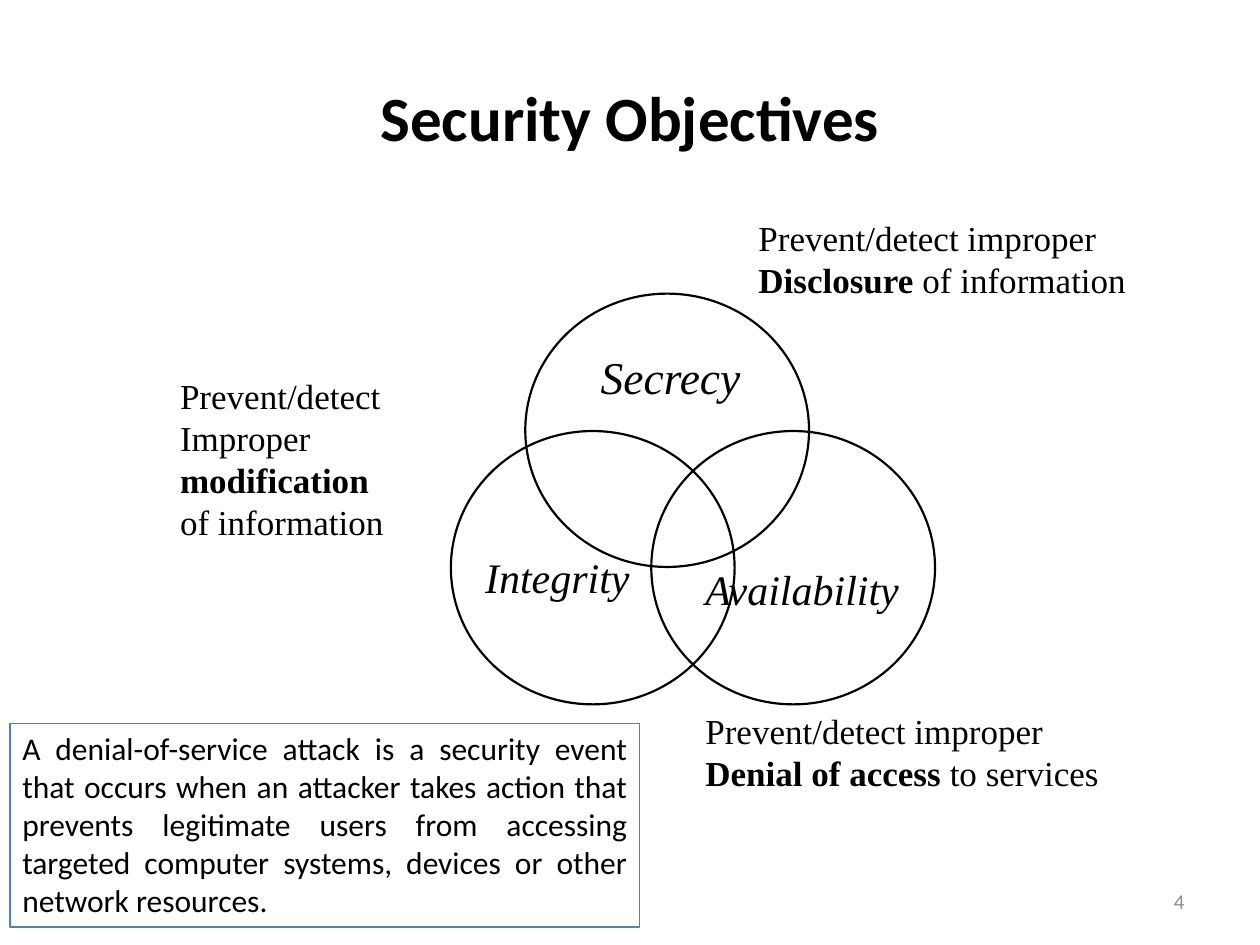
from dataclasses import dataclass

from pptx import Presentation
from pptx.dml.color import RGBColor
from pptx.enum import shapes, text
from pptx.util import Cm, Pt

COLOURS = {"ink": "000000", "border": "4F81BD", "muted": "8C8C8C"}
SERIF = "Times New Roman"
CIRCLE_WIDTH, CIRCLE_HEIGHT = 5.72, 5.51


@dataclass
class Area:
    left: float
    top: float
    width: float
    height: float

    def lengths(self) -> list:
        return [Cm(value) for value in (self.left, self.top, self.width, self.height)]


@dataclass
class Objective:
    name: str
    size: int
    circle: tuple
    name_area: Area
    goal_area: Area
    goal: list


OBJECTIVES = [
    Objective("Secrecy", 26, (10.59, 5.92),
              Area(11.86, 6.91, 3.35, 1.35), Area(15.04, 4.24, 8.26, 1.96),
              [[("Prevent/detect improper", False)],
               [("Disclosure", True), (" of information", False)]]),
    Objective("Availability", 24, (13.13, 8.69),
              Area(13.97, 11.23, 4.45, 1.27), Area(13.97, 14.17, 8.48, 1.96),
              [[("Prevent/detect improper", False)],
               [("Denial of access", True), (" to services", False)]]),
    Objective("Integrity", 24, (9.09, 8.69),
              Area(9.53, 11, 3.43, 1.27), Area(3.38, 7.42, 7.11, 3.63),
              [[("Prevent/detect", False)], [("Improper", False)],
               [("modification", True)], [("of information", False)]]),
]


def colour(name: str) -> RGBColor:
    return RGBColor.from_string(COLOURS[name])


def write(box, lines: list, *, size: int, font: str = "Calibri", ink: str = "ink",
          italic: bool = False, align=text.PP_ALIGN.LEFT,
          anchor=text.MSO_ANCHOR.TOP, wrap: bool = True) -> None:
    frame = box.text_frame
    frame.word_wrap = wrap
    frame.vertical_anchor = anchor
    for index, spans in enumerate(lines):
        para = frame.add_paragraph() if index else frame.paragraphs[0]
        para.alignment = align
        for words, bold in spans:
            span = para.add_run()
            span.text = words
            span.font.name = font
            span.font.size = Pt(size)
            span.font.bold = bold
            span.font.italic = italic
            span.font.color.rgb = colour(ink)


def add_text(page, area: Area, lines: list, **style) -> None:
    write(page.shapes.add_textbox(*area.lengths()), lines, **style)


def add_outline(page, kind, area: Area, line: str, weight: float):
    shape = page.shapes.add_shape(kind, *area.lengths())
    shape.shadow.inherit = False
    shape.fill.background()
    shape.line.color.rgb = colour(line)
    shape.line.width = Pt(weight)
    return shape


def add_objective(page, item: Objective) -> None:
    add_outline(page, shapes.MSO_SHAPE.OVAL,
                Area(*item.circle, CIRCLE_WIDTH, CIRCLE_HEIGHT), "ink", 1.25)
    add_text(page, item.name_area, [[(item.name, False)]],
             size=item.size, font=SERIF, italic=True, wrap=False)
    add_text(page, item.goal_area, item.goal, size=20, font=SERIF, wrap=False)


def main() -> None:
    deck = Presentation()
    deck.slide_width, deck.slide_height = Cm(25.4), Cm(19.05)
    page = deck.slides.add_slide(deck.slide_layouts[6])

    add_text(page, Area(1.27, 0.76, 22.86, 3.18), [[("Security Objectives", True)]],
             size=36, align=text.PP_ALIGN.CENTER, anchor=text.MSO_ANCHOR.MIDDLE)
    for item in OBJECTIVES:
        add_objective(page, item)
    add_text(page, Area(18.21, 17.65, 5.92, 1.02), [[("4", False)]], size=12,
             ink="muted", align=text.PP_ALIGN.RIGHT, anchor=text.MSO_ANCHOR.MIDDLE)

    note = add_outline(page, shapes.MSO_SHAPE.RECTANGLE,
                       Area(0.2, 14.58, 12.7, 4.11), "border", 0.75)
    definition = ("A denial-of-service attack is a security event that occurs when "
                  "an attacker takes action that prevents legitimate users from "
                  "accessing targeted computer systems, devices or other network "
                  "resources.")
    write(note, [[(definition, False)]], size=18, align=text.PP_ALIGN.JUSTIFY)
    deck.save("out.pptx")


if __name__ == "__main__":
    main()
